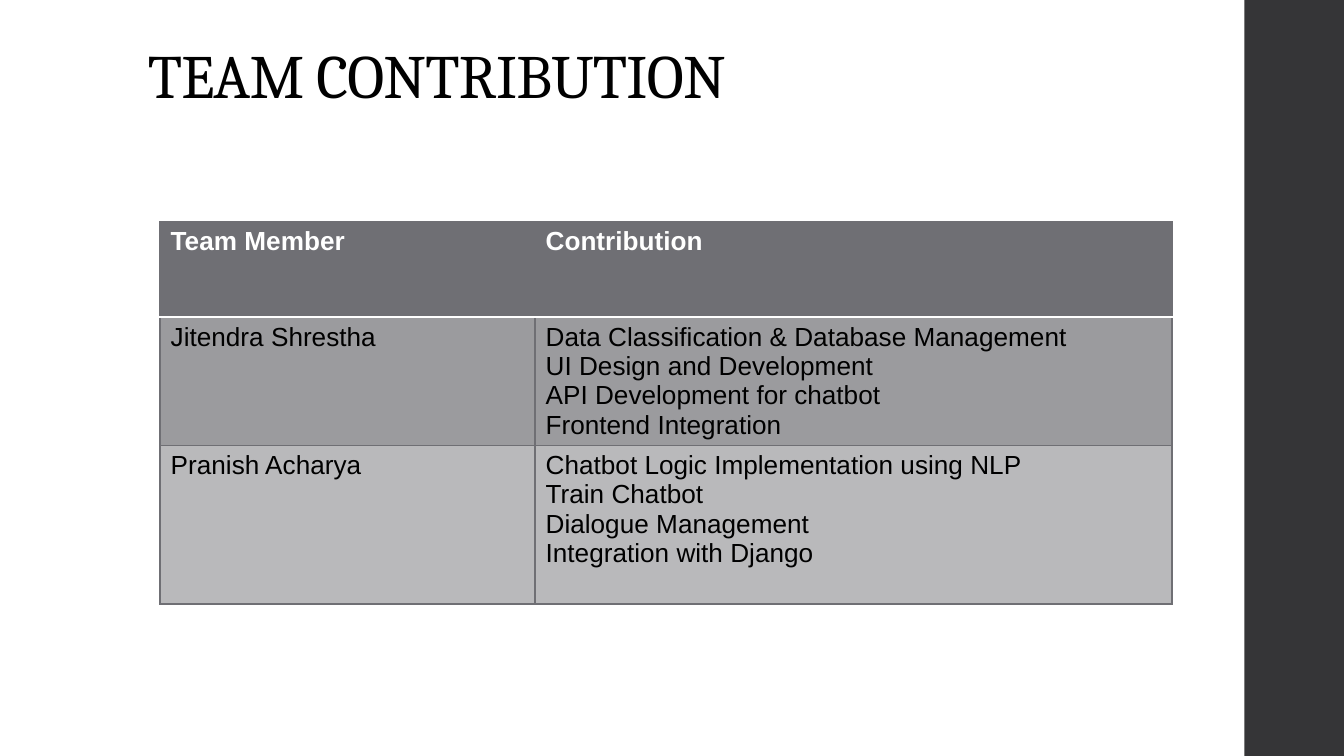
"""Build the team contribution slide."""
from lxml import etree
from pptx import Presentation
from pptx.dml.color import RGBColor
from pptx.enum.shapes import MSO_SHAPE as Shape
from pptx.enum.text import MSO_ANCHOR as Anchor, PP_ALIGN as Align
from pptx.oxml.ns import qn
from pptx.util import Inches, Pt


def color(code):
    return RGBColor.from_string(code)


class Deck:
    """Hold the style and the current slide."""
    gray, dark, white, black = "6F6F74", "353537", "FFFFFF", "000000"
    bands = ["9B9B9E", "B9B9BB"]
    head, body = "Cambria", "Arial"

    def __init__(self, wide, high):
        self.show = Presentation()
        self.show.slide_width = Inches(wide)
        self.show.slide_height = Inches(high)
        self.slide = self.show.slides.add_slide(self.show.slide_layouts[5])

    def place(self, frame, sides):
        left, top, right, low = map(Inches, sides)
        frame.margin_left, frame.margin_top = left, top
        frame.margin_right, frame.margin_bottom = right, low

    def run(self, para, text, face, size, ink, bold=False):
        run = para.add_run()
        run.text = text
        font = run.font
        font.name, font.size, font.bold = face, Pt(size), bold
        font.color.rgb = color(ink)
        return run

    def title(self, text, box):
        shape = self.slide.shapes.title
        shape.left, shape.top, shape.width, shape.height = map(Inches, box)
        frame = shape.text_frame
        frame.word_wrap = True
        frame.vertical_anchor = Anchor.TOP
        self.place(frame, (0.07, 0.04, 0.07, 0.04))
        para = frame.paragraphs[0]
        para.alignment = Align.LEFT
        para.line_spacing = 0.9
        run = self.run(para, text, self.head, 33, self.black)
        run.font._element.set("spc", "-40")

    def panel(self, box, fill):
        shape = self.slide.shapes.add_shape(Shape.RECTANGLE, *map(Inches, box))
        shape.shadow.inherit = False
        shape.fill.solid()
        shape.fill.fore_color.rgb = color(fill)
        shape.line.fill.background()

    def border(self, cell, side, ink, width):
        props = cell._tc.get_or_add_tcPr()
        line = etree.SubElement(props, qn(f"a:ln{side}"), w=str(Pt(width)))
        fill = etree.SubElement(line, qn("a:solidFill"))
        etree.SubElement(fill, qn("a:srgbClr"), val=ink)

    def cell(self, cell, lines, row):
        edges = {side: (self.gray, 0.75) for side in "LRTB"}
        if row < 2:
            edges["B" if row == 0 else "T"] = (self.white, 1.1)
        for side, (ink, width) in edges.items():
            self.border(cell, side, ink, width)
        cell.fill.solid()
        cell.fill.fore_color.rgb = color(self.bands[row - 1] if row else self.gray)
        self.place(cell, (0.08, 0.04, 0.08, 0.04))
        frame = cell.text_frame
        for num, text in enumerate(lines):
            para = frame.add_paragraph() if num else frame.paragraphs[0]
            ink = self.black if row else self.white
            self.run(para, text, self.body, 14, ink, row == 0)

    def table(self, rows, spot, cols, highs):
        box = (*spot, sum(cols), sum(highs))
        grid = self.slide.shapes.add_table(
            len(rows), len(cols), *map(Inches, box)).table
        for col, wide in zip(grid.columns, cols):
            col.width = Inches(wide)
        for row, high in zip(grid.rows, highs):
            row.height = Inches(high)
        for row, cells in enumerate(rows):
            for col, lines in enumerate(cells):
                self.cell(grid.cell(row, col), lines, row)


def main():
    wide = 10
    high = wide * 9 / 16
    deck = Deck(wide, high)
    deck.panel((9.26, 0, 0.74, high), deck.dark)
    deck.title("TEAM CONTRIBUTION", (1.03, 0.3, 7.95, 1.09))
    rows = [
        (["Team Member"], ["Contribution"]),
        (["Jitendra Shrestha"],
         ["Data Classification & Database Management",
          "UI Design and Development",
          "API Development for chatbot",
          "Frontend Integration"]),
        (["Pranish Acharya"],
         ["Chatbot Logic Implementation using NLP",
          "Train Chatbot",
          "Dialogue Management",
          "Integration with Django"]),
    ]
    deck.table(rows, (1.19, 1.65), (2.79, 4.74), (0.71, 0.94, 1.18))
    deck.show.save("out.pptx")


if __name__ == "__main__":
    main()
